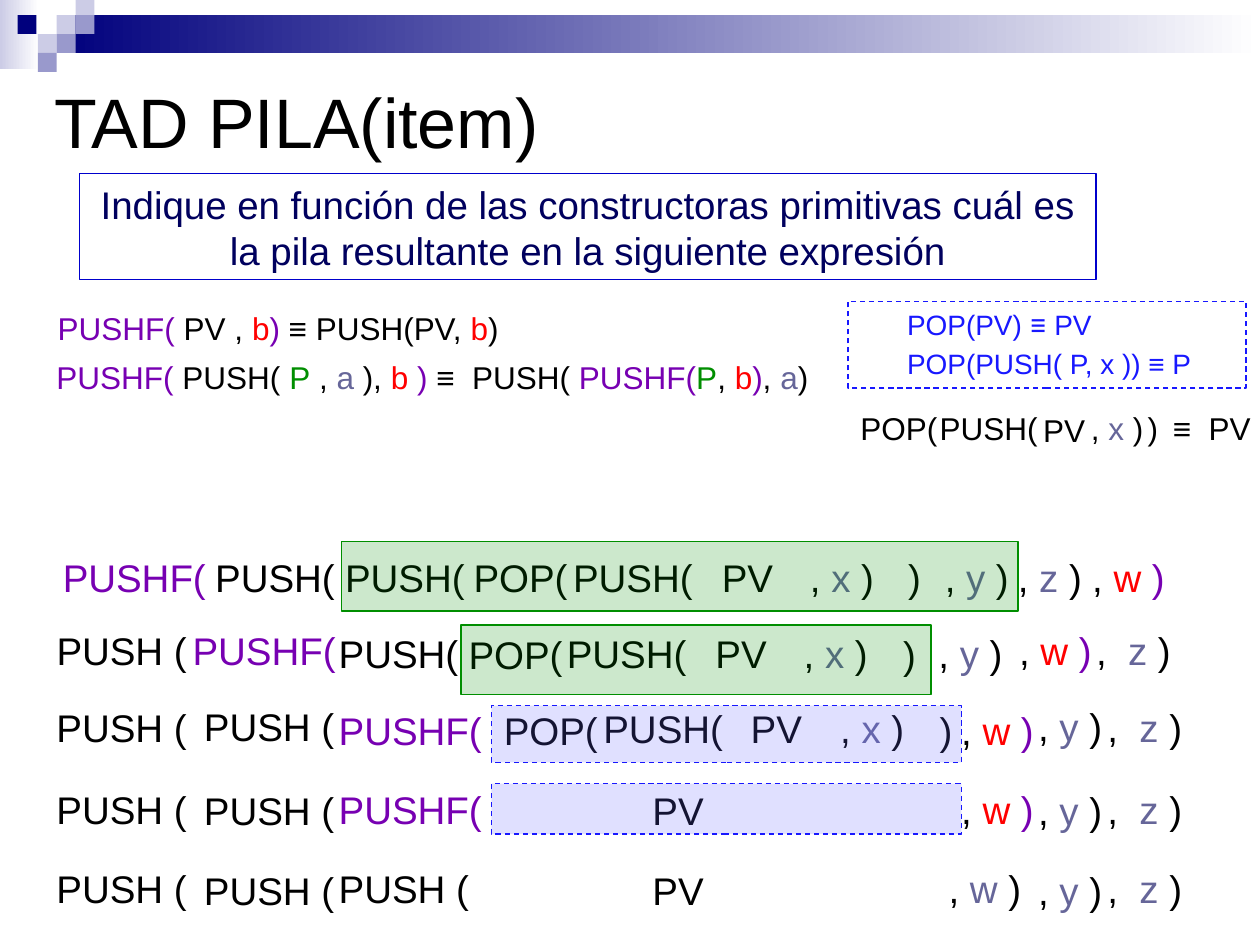
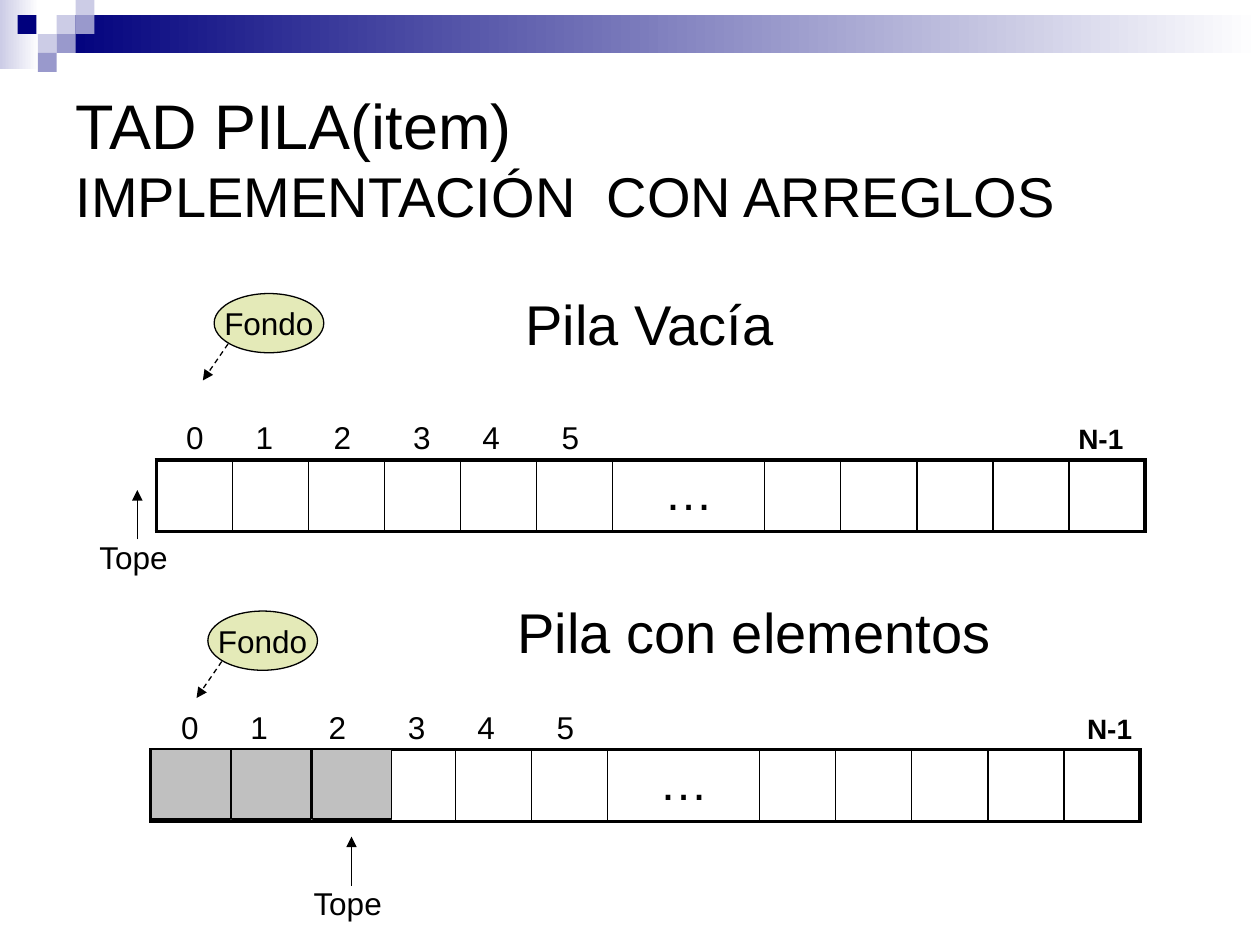
from dataclasses import dataclass
from typing import NamedTuple

from lxml.etree import SubElement
from pptx import Presentation
from pptx.dml.color import RGBColor
from pptx.enum.dml import MSO_LINE
from pptx.enum.shapes import MSO_CONNECTOR, MSO_SHAPE
from pptx.enum.text import MSO_ANCHOR, MSO_AUTO_SIZE, PP_ALIGN
from pptx.oxml import parse_xml
from pptx.oxml.ns import nsdecls, qn
from pptx.util import Inches, Pt

# Shared look
FONT = "Arial"
BLACK, WHITE, RED, GREEN = "000000", "FFFFFF", "FF0000", "008E00"
VIOLET, SLATE, BLUE, DARK_BLUE = "7700B2", "666699", "1818FF", "00005E"
NAVY, LAVENDER, PERIWINKLE = "00007D", "CCCCE6", "9999CC"

# Grid of 100 columns by 75 rows
COLUMN = ROW = Inches(10) // 100


class Box(NamedTuple):
    left: float
    top: float
    width: float
    height: float

    def place(self) -> tuple:
        return (round(self.left * COLUMN), round(self.top * ROW),
                round(self.width * COLUMN), round(self.height * ROW))


class Span(NamedTuple):
    text: str
    colour: str = BLACK
    size: float | None = None
    bold: bool | None = None
    font: str | None = None


@dataclass
class Layer:
    """One call around the stack: its opening, and its closing at a tab stop."""
    left: float
    top: float
    opening: str
    closing_at: float
    variable: str = ""

    def spans(self) -> list[Span]:
        if not self.variable:
            return [Span(f"{self.opening}\t)")]
        at_bottom = self.opening == "PUSHF("
        outer, inner = (VIOLET, RED) if at_bottom else (BLACK, SLATE)
        gap = ",  " if self.variable == "z" and self.opening == "PUSH (" else ", "
        return [Span(self.opening, outer), Span("\t" + gap),
                Span(self.variable + " ", inner), Span(")", outer)]


@dataclass
class Stack:
    heading: str
    heading_box: Box
    bottom: Box
    array: Box
    indexes: Box
    last_index: float
    top_arrow: tuple
    filled: int = 0


def rgb(colour: str) -> RGBColor:
    return RGBColor.from_string(colour)


def write(paragraph, spans: list[Span], size: float, tabs: tuple = ()) -> None:
    paragraph.font.name, paragraph.font.size = FONT, Pt(size)
    for span in spans:
        run = paragraph.add_run()
        run.text = span.text
        run.font.color.rgb = rgb(span.colour)
        if span.size:
            run.font.size = Pt(span.size)
        if span.bold:
            run.font.bold = True
        if span.font:
            run.font.name = span.font
    if tabs:
        tab_list = parse_xml(f"<a:tabLst {nsdecls('a')}/>")
        for tab in tabs:
            SubElement(tab_list, qn("a:tab"), pos=str(round(tab * COLUMN)), algn="l")
        paragraph._p.get_or_add_pPr().insert(0, tab_list)


def add_text(page, box: Box, spans: list[Span], size: float,
             tabs: tuple = (), align=PP_ALIGN.LEFT) -> None:
    frame = page.shapes.add_textbox(*box.place()).text_frame
    frame.word_wrap = True
    frame.paragraphs[0].alignment = align
    write(frame.paragraphs[0], spans, size, tabs)


def set_line(line, colour: str, dashed: bool = False) -> None:
    line.color.rgb = rgb(colour)
    line.width = Pt(0.75)
    if dashed:
        line.dash_style = MSO_LINE.DASH


def add_panel(page, box: Box, fill: str = "", line: str = "", dashed: bool = False,
              opacity: int = 100, fade_to: str = "", kind=MSO_SHAPE.RECTANGLE):
    panel = page.shapes.add_shape(kind, *box.place())
    panel.shadow.inherit = False
    if fade_to:
        panel.fill.gradient()
        panel.fill.gradient_angle = 0
        for stop, colour in zip(panel.fill.gradient_stops, (fill, fade_to)):
            stop.color.rgb = rgb(colour)
    elif fill:
        panel.fill.solid()
        panel.fill.fore_color.rgb = rgb(fill)
        if opacity < 100:
            colour = panel.element.spPr.find(qn("a:solidFill"))[0]
            SubElement(colour, qn("a:alpha"), val=str(opacity * 1000))
    else:
        panel.fill.background()
    if line:
        set_line(panel.line, line, dashed)
    else:
        panel.line.fill.background()
    return panel


def add_arrow(page, start: tuple, end: tuple, dashed: bool = False) -> None:
    points = [round(value * COLUMN) for value in (*start, *end)]
    arrow = page.shapes.add_connector(MSO_CONNECTOR.STRAIGHT, *points)
    set_line(arrow.line, BLACK, dashed)
    SubElement(arrow.line._get_or_add_ln(), qn("a:tailEnd"), type="triangle")
    SubElement(arrow.element.spPr, qn("a:effectLst"))


def decorate(layout, page) -> None:
    """Put the top band and its squares on the layout."""
    side, left, top = 1.5, 3, -0.3
    squares = [(1, 1, LAVENDER), (2, 0, LAVENDER), (2, 1, PERIWINKLE), (0, 2, LAVENDER),
               (-1.07, 1, NAVY), (1, 2, PERIWINKLE), (0, 3, PERIWINKLE)]
    parts = [add_panel(page, Box(0, -0.3, 3.1, 5.8), LAVENDER, fade_to=WHITE),
             add_panel(page, Box(4.5, 1.2, 95.5, 3), NAVY, fade_to=WHITE)]
    parts += [add_panel(page, Box(left + side * column, top + side * row, side, side), colour)
              for column, row, colour in squares]
    for index, part in enumerate(parts):
        part.element.nvSpPr.cNvPr.set("id", str(100 + index))
        layout.shapes.element.insert(2 + index, part.element)


def set_title(page, box: Box, lines: list[Span], anchor, margin: float = 0.5) -> None:
    title = page.shapes.title
    title.left, title.top, title.width, title.height = box.place()
    frame = title.text_frame
    frame.word_wrap, frame.auto_size = True, MSO_AUTO_SIZE.NONE
    frame.vertical_anchor, frame.margin_top = anchor, round(margin * ROW)
    for index, line in enumerate(lines):
        paragraph = frame.add_paragraph() if index else frame.paragraphs[0]
        paragraph.alignment = PP_ALIGN.LEFT
        write(paragraph, [line], line.size)


def add_layers(page, layers: list[Layer], size: float, height: float) -> None:
    for layer in layers:
        tab = layer.closing_at - layer.left - 1
        box = Box(layer.left, layer.top, layer.closing_at - layer.left + 12, height)
        add_text(page, box, layer.spans(), size, (tab,))


# Slide 1: the expression reduced step by step
def build_expression(page) -> None:
    set_title(page, Box(3.3, 5, 90, 15), [Span("TAD PILA(item)", size=40)],
              MSO_ANCHOR.TOP, 1.2)

    # Axioms
    add_text(page, Box(3.5, 27.9, 90.3, 4), [
        Span("PUSHF(", VIOLET), Span(" PUSH( "), Span("P", GREEN), Span(" , "),
        Span("a", SLATE), Span(" ), "), Span("b ", RED), Span(")", VIOLET),
        Span(" ≡  PUSH( "), Span("PUSHF(", VIOLET), Span("P", GREEN), Span(", "),
        Span("b", RED), Span(")", VIOLET), Span(", "), Span("a", SLATE), Span(")")], 18)
    add_text(page, Box(3.6, 24, 48, 4), [
        Span("PUSHF(", VIOLET), Span(" PV , "), Span("b", RED), Span(")", VIOLET),
        Span(" ≡ PUSH(PV, "), Span("b", RED), Span(")")], 18)

    # Question
    frame = add_panel(page, Box(6.3, 13.8, 80.7, 8.4), line="0000CC").text_frame
    frame.word_wrap = True
    frame.paragraphs[0].alignment = PP_ALIGN.CENTER
    write(frame.paragraphs[0], [Span(
        "Indique en función de las constructoras primitivas cuál es "
        "la pila resultante en la siguiente expresión", DARK_BLUE)], 22)

    # Rules of POP
    frame = add_panel(page, Box(67.3, 23.9, 31.6, 6.9), line=BLUE, dashed=True).text_frame
    frame.word_wrap, frame.vertical_anchor = True, MSO_ANCHOR.TOP
    frame.margin_left = round(4.7 * COLUMN)
    rules = [[Span("POP(PV) ", BLUE), Span("≡", BLUE, font="Noto Sans Mono"),
              Span(" PV", BLUE)], [Span("POP(PUSH( P, x )) ≡ P", BLUE)]]
    for index, rule in enumerate(rules):
        paragraph = frame.add_paragraph() if index else frame.paragraphs[0]
        paragraph.alignment = PP_ALIGN.LEFT
        paragraph.space_before = Pt(3.2)
        write(paragraph, rule, 16)
    add_layers(page, [Layer(73.6, 32, "PUSH(", 86.6, "x"),
                      Layer(67.3, 32, "POP(", 91.1)], 18, 4)
    add_text(page, Box(81.8, 32.1, 11.8, 4), [Span("PV")], 18)
    add_text(page, Box(92.1, 32, 12.2, 4), [Span("≡  PV")], 18)

    # Steps: position of PV, calls around it, highlighted part
    steps = [
        ((56.3, 43.5), [Layer(44.5, 43.5, "PUSH(", 64.3, "x"),
                        Layer(36.6, 43.5, "POP(", 72.1),
                        Layer(26.4, 43.5, "PUSH(", 75, "y"),
                        Layer(16.1, 43.5, "PUSH(", 80.8, "z"),
                        Layer(4, 43.5, "PUSHF(", 86.7, "w")], Box(27.1, 43, 53.7, 5.5)),
        ((55.8, 49.5), [Layer(44, 49.5, "PUSH(", 63.8, "x"),
                        Layer(36.2, 49.6, "POP(", 71.7),
                        Layer(25.9, 49.5, "PUSH(", 74.5, "y"),
                        Layer(14.3, 49.3, "PUSHF(", 80.9, "w"),
                        Layer(3.5, 49.3, "PUSH (", 87, "z")], Box(36.6, 49.6, 37.3, 5.5)),
        ((58.6, 55.5), [Layer(46.9, 55.5, "PUSH(", 66.7, "x"),
                        Layer(39, 55.6, "POP(", 74.6),
                        Layer(25.9, 55.6, "PUSHF(", 76.3, "w"),
                        Layer(15.2, 55.3, "PUSH (", 82.4, "y"),
                        Layer(3.5, 55.4, "PUSH (", 87.9, "z")], Box(39, 56, 37.3, 4.5)),
        ((50.8, 62), [Layer(25.9, 61.9, "PUSHF(", 76.3, "w"),
                      Layer(15.2, 62, "PUSH (", 82.4, "y"),
                      Layer(3.5, 61.9, "PUSH (", 87.9, "z")], Box(39, 62.2, 37.3, 4)),
        ((50.8, 68.3), [Layer(25.9, 68.2, "PUSH (", 75.3, "w"),
                        Layer(15.2, 68.3, "PUSH (", 82.4, "y"),
                        Layer(3.5, 68.2, "PUSH (", 87.9, "z")], None),
    ]
    for number, (empty_stack, layers, highlight) in enumerate(steps):
        add_text(page, Box(*empty_stack, 11.8, 4.7), [Span("PV")], 22)
        add_layers(page, layers, 22, 4.7)
        if highlight:
            dashed = number >= 2
            fill, line = ("6565FF", BLUE) if dashed else (GREEN, GREEN)
            add_panel(page, highlight, fill, line, dashed, opacity=20)


# Slide 2: the stack kept in an array
def add_array(page, box: Box) -> None:
    cells, wide = 12, 6
    table_frame = page.shapes.add_table(1, cells, *box.place())
    table = table_frame.table
    table.first_row = table.horz_banding = False
    table.rows[0].height = round(box.height * ROW)
    unit = box.width / (cells + 1)
    for index, cell in enumerate(table.rows[0].cells):
        table.columns[index].width = round(unit * (2 if index == wide else 1) * COLUMN)
        cell.fill.background()
        widths = {"L": 1 if index else 2.25, "R": 1 if index < cells - 1 else 2.25,
                  "T": 2.25, "B": 2.25}
        for position, (side, width) in enumerate(widths.items()):
            border = parse_xml(
                f'<a:ln{side} {nsdecls("a")} w="{Pt(width)}"><a:solidFill>'
                f'<a:srgbClr val="{BLACK}"/></a:solidFill></a:ln{side}>')
            cell._tc.get_or_add_tcPr().insert(position, border)
    paragraph = table.cell(0, wide).text_frame.paragraphs[0]
    paragraph.alignment = PP_ALIGN.CENTER
    write(paragraph, [Span("…")], 28)


def add_stack(page, stack: Stack) -> None:
    add_array(page, stack.array)
    tabs = (2.1, 7.6, 13.8, 20.1, 25.6, 31.9, stack.last_index)
    numbers = "".join(f"\t{number}" for number in range(6))
    add_text(page, stack.indexes, [Span(numbers + "\t"), Span("N-1", size=16, bold=True)],
             18, tabs)
    for index in range(stack.filled):
        add_panel(page, Box(stack.array.left + 6.4 * index, stack.array.top, 6.3, 5.5),
                  "C0C0C0", BLACK)

    # Pointers to the top and the bottom
    x, y = stack.top_arrow
    add_arrow(page, (x, y), (x, y - 3.9))
    add_text(page, Box(x - 4, y - 0.6, 7.7, 4), [Span("Tope")], 18)
    left, top = stack.bottom.left, stack.bottom.top
    add_arrow(page, (left + 1.1, top + 4), (left - 0.9, top + 6.9), dashed=True)
    frame = add_panel(page, stack.bottom, "E4EAB8", BLACK, kind=MSO_SHAPE.OVAL).text_frame
    frame.word_wrap = False
    frame.margin_left = frame.margin_right = 0
    frame.paragraphs[0].alignment = PP_ALIGN.CENTER
    write(frame.paragraphs[0], [Span("Fondo")], 18)

    add_text(page, stack.heading_box, [Span(stack.heading)], 32, align=PP_ALIGN.CENTER)


def build_arrays(page) -> None:
    set_title(page, Box(5, 5, 90, 15),
              [Span("TAD PILA(item)", size=36),
               Span("IMPLEMENTACIÓN  CON ARREGLOS", size=32)], MSO_ANCHOR.MIDDLE)
    add_stack(page, Stack("Pila Vacía", Box(36.6, 22.5, 29.9, 6.3),
                          Box(17, 23.3, 8.7, 4.7), Box(12.4, 36.5, 78.5, 5.7),
                          Box(11.7, 32.7, 79.3, 4), 72.9, (10.9, 42.8)))
    add_stack(page, Stack("Pila con elementos", Box(31.9, 46.9, 55.9, 6.3),
                          Box(16.5, 48.5, 8.7, 4.7), Box(12, 59.5, 78.5, 5.7),
                          Box(11.3, 55.7, 81, 4), 74, (27.9, 70.3), filled=3))


def main() -> None:
    deck = Presentation()
    deck.slide_width, deck.slide_height = 100 * COLUMN, 75 * ROW
    layout = deck.slide_layouts.get_by_name("Title Only")
    pages = [deck.slides.add_slide(layout) for _ in range(2)]
    decorate(layout, pages[0])
    build_expression(pages[0])
    build_arrays(pages[1])
    deck.save("out.pptx")


if __name__ == "__main__":
    main()
